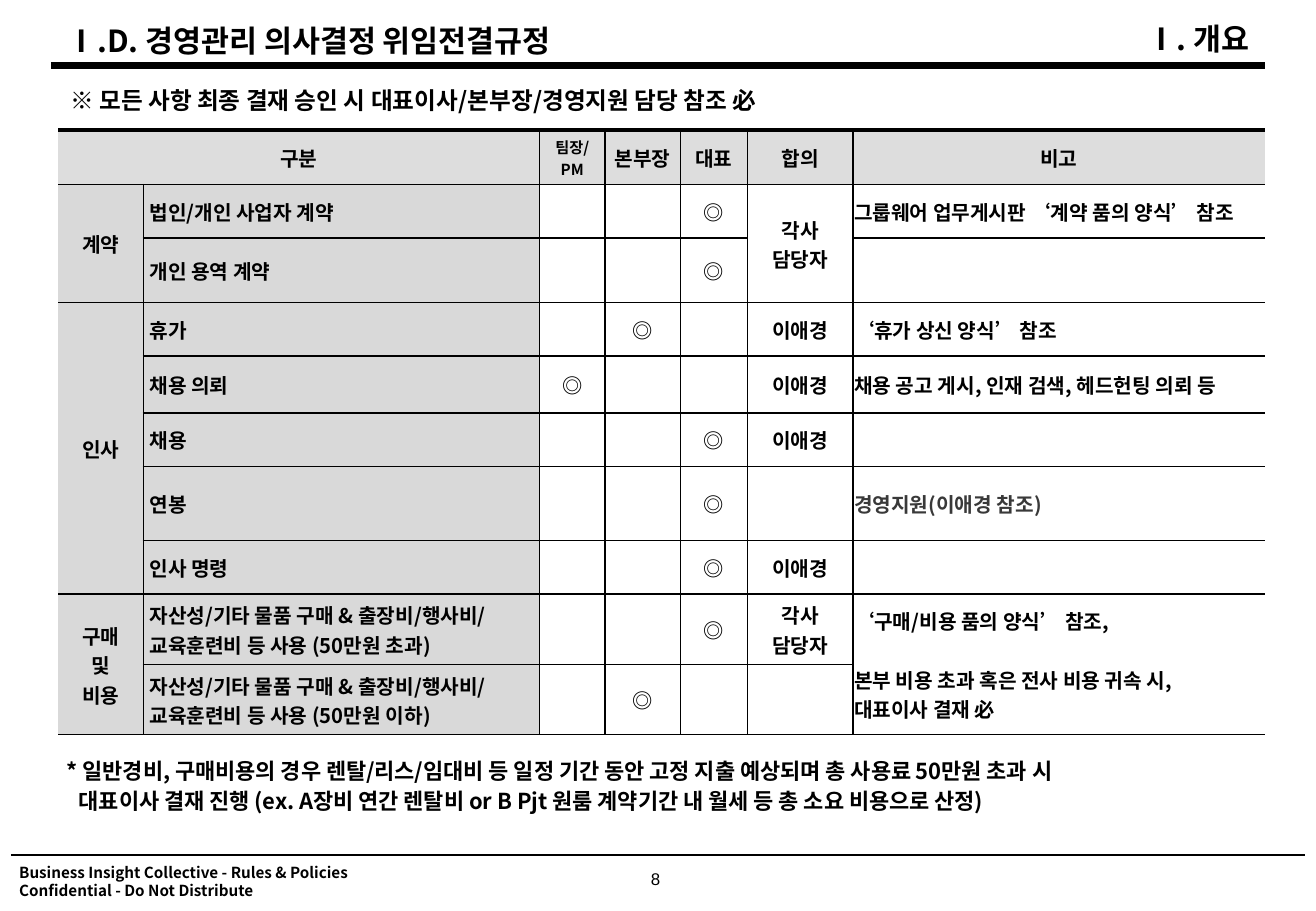
from itertools import accumulate
from lxml import etree
from pptx import Presentation
from pptx import util as u
from pptx.dml.color import RGBColor
from pptx.enum import shapes, text
from pptx.oxml.ns import qn

W, H = 10.83, 7.5
THEME = dict(font="Noto Sans CJK KR", number_font="Arial",
             ink="000000", soft="393939", head="DDDDDD", label="D9D9D9",
             title=18, note=14, footnote=13, body=12, small=9, number=10)
LEFT, CENTER, RIGHT = text.PP_ALIGN.LEFT, text.PP_ALIGN.CENTER, text.PP_ALIGN.RIGHT


def write(tf, lines, size, align=LEFT, color="ink", font="font", bold=True, gap=0):
    """Fill a text frame, one paragraph for each line."""
    for i, line in enumerate(lines):
        p = tf.paragraphs[0] if i == 0 else tf.add_paragraph()
        p.alignment = align
        if i and gap:
            p.space_before = u.Pt(gap)
        r = p.add_run()
        r.text = line
        r.font.size, r.font.bold = u.Pt(THEME[size]), bold
        r.font.color.rgb = RGBColor.from_string(THEME[color])
        r.font.name = THEME[font]
        etree.SubElement(r.font._element, qn("a:ea"), typeface=THEME[font])


def border(cell, sides):
    """Set cell borders: side tag -> width in points, 0 for none."""
    tcPr = cell._tc.get_or_add_tcPr()
    for i, (side, width) in enumerate(sides.items()):
        ln = etree.Element(qn("a:" + side), w=str(u.Pt(width)))
        if width:
            fill = etree.SubElement(ln, qn("a:solidFill"))
            etree.SubElement(fill, qn("a:srgbClr"), val=THEME["ink"])
        else:
            etree.SubElement(ln, qn("a:noFill"))
        tcPr.insert(i, ln)


prs = Presentation()
prs.slide_width, prs.slide_height = u.Inches(W), u.Inches(H)
s = prs.slides.add_slide(prs.slide_layouts[5])

# Rules under the title and above the footer
for x1, x2, y, width in [(0.42, 10.41, 0.54, 4), (0.09, 10.74, 7.04, 1)]:
    ln = s.shapes.add_connector(shapes.MSO_CONNECTOR.STRAIGHT, u.Inches(x1), u.Inches(y),
                                u.Inches(x2), u.Inches(y))
    ln.line.width = u.Pt(width)
    ln.line.color.rgb = RGBColor.from_string(THEME["ink"])
    etree.SubElement(ln._element.spPr, qn("a:effectLst"))

# Title
sp = s.shapes.title
sp.left, sp.top, sp.width, sp.height = [u.Inches(v) for v in (0.45, 0.13, 7.32, 0.4)]
tf = sp.text_frame
tf.vertical_anchor = text.MSO_ANCHOR.TOP
tf.auto_size = text.MSO_AUTO_SIZE.NONE
write(tf, ["Ⅰ.D. 경영관리 의사결정 위임전결규정"], "title")

# Section name, notes, footer and page number
boxes = [
    ((6.28, 0.12, 4.1, 0.4), True, ["Ⅰ. 개요"], dict(size="title", align=RIGHT)),
    ((0.48, 0.66, 8.82, 0.4), False,
     ["※ 모든 사항 최종 결재 승인 시 대표이사/본부장/경영지원 담당 참조 必"], dict(size="note")),
    ((0.45, 6.19, 8.82, 0.61), False,
     ["* 일반경비, 구매비용의 경우 렌탈/리스/임대비 등 일정 기간 동안 고정 지출 예상되며 총 사용료 50만원 초과 시",
      "대표이사 결재 진행 (ex. A장비 연간 렌탈비 or B Pjt 원룸 계약기간 내 월세 등 총 소요 비용으로 산정)"],
     dict(size="footnote", gap=2)),
    ((0.06, 7.06, 3.03, 0.4), True,
     ["Business Insight Collective - Rules & Policies", "Confidential - Do Not Distribute"],
     dict(size="small")),
    ((5.21, 7.1, 0.37, 0.37), False, ["8"],
     dict(size="number", align=CENTER, font="number_font", bold=False)),
]
for place, wrap, lines, look in boxes:
    tf = s.shapes.add_textbox(*[u.Inches(v) for v in place]).text_frame
    tf.word_wrap = wrap
    write(tf, lines, **look)
    if look["size"] == "footnote":
        tf.paragraphs[1]._p.get_or_add_pPr().set("marL", str(u.Inches(0.1)))

# Approval table: group, item, team lead, division head, CEO, agreement, remarks
OK, HR, OWNER = "◎", "이애경", "각사\n담당자"
PURCHASE = "자산성/기타 물품 구매 & 출장비/행사비/\n교육훈련비 등 사용 (50만원 %s)"
rows = [
    ["구분", "", "팀장/\nPM", "본부장", "대표", "합의", "비고"],
    ["계약", "법인/개인 사업자 계약", "", "", OK, OWNER, "그룹웨어 업무게시판 ‘계약 품의 양식’ 참조"],
    ["", "개인 용역 계약", "", "", OK, "", ""],
    ["인사", "휴가", "", OK, "", HR, "‘휴가 상신 양식’ 참조"],
    ["", "채용 의뢰", OK, "", "", HR, "채용 공고 게시, 인재 검색, 헤드헌팅 의뢰 등"],
    ["", "채용", "", "", OK, HR, ""],
    ["", "연봉", "", "", OK, "", "경영지원(이애경 참조)"],
    ["", "인사 명령", "", "", OK, HR, ""],
    ["구매\n및\n비용", PURCHASE % "초과", "", "", OK, OWNER,
     "‘구매/비용 품의 양식’ 참조,\n본부 비용 초과 혹은 전사 비용 귀속 시,\n대표이사 결재 必"],
    ["", PURCHASE % "이하", "", OK, "", "", ""],
]
col_w = [0.7, 3.26, 0.54, 0.62, 0.55, 0.87, 3.39]
row_h = [0.45, 0.44, 0.53, 0.44, 0.47, 0.44, 0.61, 0.44, 0.58, 0.58]
merges = [((0, 0), (0, 1)), ((1, 0), (2, 0)), ((1, 5), (2, 5)),
          ((3, 0), (7, 0)), ((8, 0), (9, 0)), ((8, 6), (9, 6))]
last_col = len(col_w) - 1

tbl = s.shapes.add_table(len(rows), len(col_w), u.Inches(0.48), u.Inches(1.07),
                         u.Inches(list(accumulate(col_w))[-1]),
                         u.Inches(list(accumulate(row_h))[-1])).table
tbl.first_row = tbl.horz_banding = False
for col, width in zip(tbl.columns, col_w):
    col.width = u.Inches(width)
for row, height in zip(tbl.rows, row_h):
    row.height = u.Inches(height)
for first, last in merges:
    tbl.cell(*first).merge(tbl.cell(*last))

for i, row in enumerate(rows):
    for j, value in enumerate(row):
        cell = tbl.cell(i, j)
        item = i > 0 and j == 1
        cell.margin_left = u.Inches(0.05 if item else 0.01)
        cell.margin_right = cell.margin_top = u.Inches(0.01)
        cell.margin_bottom = 0
        cell.vertical_anchor = text.MSO_ANCHOR.MIDDLE
        if i == 0 or j < 2:
            cell.fill.solid()
            cell.fill.fore_color.rgb = RGBColor.from_string(THEME["label" if i else "head"])
        else:
            cell.fill.background()
        border(cell, dict(lnL=int(j > 0), lnR=int(j < last_col), lnT=1 if i else 2.25, lnB=1))
        if value:
            write(cell.text_frame, value.split("\n"),
                  "small" if (i, j) == (0, 2) else "body",
                  LEFT if item or (i and j == last_col) else CENTER,
                  "soft" if (i, j) == (6, last_col) else "ink")

# Gap inside the purchase remark
tbl.cell(8, last_col).text_frame.paragraphs[1].space_before = u.Pt(17.5)

prs.save("out.pptx")
